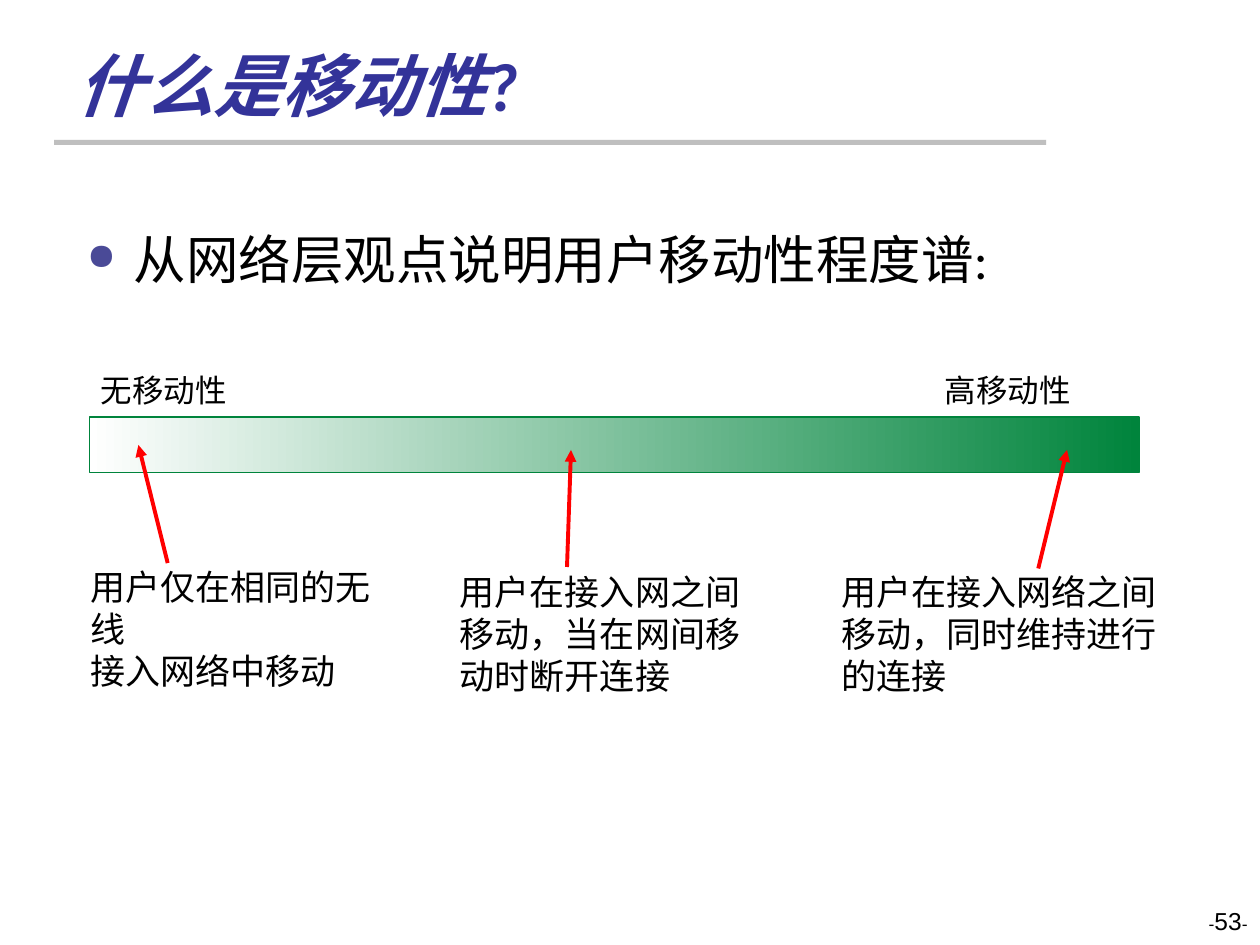
from dataclasses import dataclass

from lxml import etree
from pptx import Presentation
from pptx.dml.color import RGBColor
from pptx.enum.shapes import MSO_CONNECTOR, MSO_SHAPE
from pptx.enum.text import MSO_ANCHOR, MSO_AUTO_SIZE, PP_ALIGN
from pptx.oxml.ns import qn
from pptx.util import Cm, Pt

RECT = MSO_SHAPE.RECTANGLE
STRAIGHT = MSO_CONNECTOR.STRAIGHT
MIDDLE = MSO_ANCHOR.MIDDLE
GROW = MSO_AUTO_SIZE.SHAPE_TO_FIT_TEXT
RIGHT = PP_ALIGN.RIGHT


@dataclass(frozen=True)
class Theme:
    """Colours, fonts and type sizes."""
    ink: str = "000000"
    title: str = "333399"
    bullet: str = "4A4A97"
    rule: str = "BFBFBF"
    pale: str = "FFFFFF"
    green: str = "00843C"
    red: str = "FF0000"
    head: str = "Calibri"
    hand: str = "Comic Neue"
    plain: str = "Arial"
    title_pt: int = 39
    body_pt: int = 30
    note_pt: int = 20
    label_pt: int = 18
    page_pt: int = 14
    dash_pt: int = 10


THEME = Theme()


def rgb(code):
    """Turn a hex code into a colour."""
    return RGBColor.from_string(code)


def style(run, size, font, color=THEME.ink):
    """Set the size, font and colour of a run."""
    run.font.size = Pt(size)
    run.font.name = font
    run.font.color.rgb = rgb(color)


def add_text(slide, box, text, size, font, color=THEME.ink, wrap=True):
    """Add a text box and return its frame."""
    frame = slide.shapes.add_textbox(*map(Cm, box)).text_frame
    frame.text = text
    frame.word_wrap = wrap
    for para in frame.paragraphs:
        for run in para.runs:
            style(run, size, font, color)
    return frame


def add_bar(slide, box):
    """Add a plain rectangle without shadow."""
    bar = slide.shapes.add_shape(RECT, *map(Cm, box))
    bar.shadow.inherit = False
    return bar


def add_arrow(slide, start, end):
    """Add a red arrow that points at end."""
    line = slide.shapes.add_connector(STRAIGHT, *map(Cm, start + end))
    line.line.color.rgb = rgb(THEME.red)
    line.line.width = Pt(2.25)
    tip = etree.SubElement(line.line._get_or_add_ln(), qn("a:tailEnd"))
    tip.set("type", "triangle")
    etree.SubElement(line._element.spPr, qn("a:effectLst"))


def add_title(slide, box, text):
    """Add the heading and the grey rule below it."""
    left, top, _, high = box
    rule = add_bar(slide, (left - 0.21, top + high + 0.13, 20, 0.1))
    rule.fill.solid()
    rule.fill.fore_color.rgb = rgb(THEME.rule)
    rule.line.fill.background()
    frame = add_text(slide, box, text, THEME.title_pt, THEME.head, THEME.title)
    frame.vertical_anchor = MIDDLE
    font = frame.paragraphs[0].runs[0].font
    font.bold = font.italic = True


def add_point(slide, box, text):
    """Add the bulleted statement."""
    frame = add_text(slide, box, text, THEME.body_pt, THEME.head)
    para = frame.paragraphs[0]
    para.space_before = Pt(6)
    props = para._p.get_or_add_pPr()
    props.set("marL", str(Cm(0.95)))
    props.set("indent", str(-Cm(0.95)))
    tint = etree.SubElement(props, qn("a:buClr"))
    etree.SubElement(tint, qn("a:srgbClr")).set("val", THEME.bullet)
    etree.SubElement(props, qn("a:buSzPct")).set("val", "70000")
    etree.SubElement(props, qn("a:buChar")).set("char", "●")


def add_scale(slide, box, labels, notes):
    """Add the gradient bar, its end labels and the notes that point at it."""
    left, top = box[:2]
    bar = add_bar(slide, box)
    bar.fill.gradient()
    bar.fill.gradient_angle = 0
    for stop, place, tint in zip(bar.fill.gradient_stops, (0, 1),
                                 (THEME.pale, THEME.green)):
        stop.position = place
        stop.color.rgb = rgb(tint)
    bar.line.color.rgb = rgb(THEME.green)
    bar.line.width = Pt(0.75)

    for x, text in labels:
        frame = add_text(slide, (left + x, top - 1.06, 3.05, 1.04), text,
                         THEME.label_pt, THEME.hand, wrap=False)
        frame.auto_size = GROW

    for x, y, wide, high, wrap, text, start, end in notes:
        frame = add_text(slide, (left + x, top + y, wide, high), text,
                         THEME.note_pt, THEME.hand, wrap=wrap)
        frame.auto_size = GROW
        add_arrow(slide, (left + start[0], top + start[1]),
                  (left + end[0], top + end[1]))


def add_page(slide, box, number):
    """Add the page number between two small dashes."""
    para = add_text(slide, box, "", THEME.page_pt, THEME.plain).paragraphs[0]
    para.alignment = RIGHT
    for text, size in (("-", THEME.dash_pt), (number, THEME.page_pt),
                       ("-", THEME.dash_pt)):
        run = para.add_run()
        run.text = text
        style(run, size, THEME.plain)


def main():
    """Build the slide and save it."""
    deck = Presentation()
    deck.slide_width, deck.slide_height = Cm(25.4), Cm(19.05)
    slide = deck.slides.add_slide(deck.slide_layouts[6])
    add_title(slide, (1.3, 0.71, 20.95, 1.98), "什么是移动性?")
    add_point(slide, (1.5, 4.45, 22.78, 1.6), "从网络层观点说明用户移动性程度谱:")
    labels = [(-0.02, "无移动性"), (17, "高移动性")]
    notes = [
        (-0.23, 2.87, 6.86, 2.03, False,
         "用户仅在相同的无线\n接入网络中移动", (1.58, 2.94), (0.99, 0.56)),
        (7.22, 2.97, 6.76, 2.9, True,
         "用户在接入网之间移动，当在网间移动时断开连接",
         (9.63, 3.02), (9.71, 0.66)),
        (14.91, 2.97, 7.47, 2.9, True,
         "用户在接入网络之间移动，同时维持进行的连接",
         (19.13, 3.05), (19.71, 0.66)),
    ]
    add_scale(slide, (1.8, 8.41, 21.16, 1.12), labels, notes)
    add_page(slide, (19.48, 18.14, 5.92, 1.27), "53")
    deck.save("out.pptx")


main()
